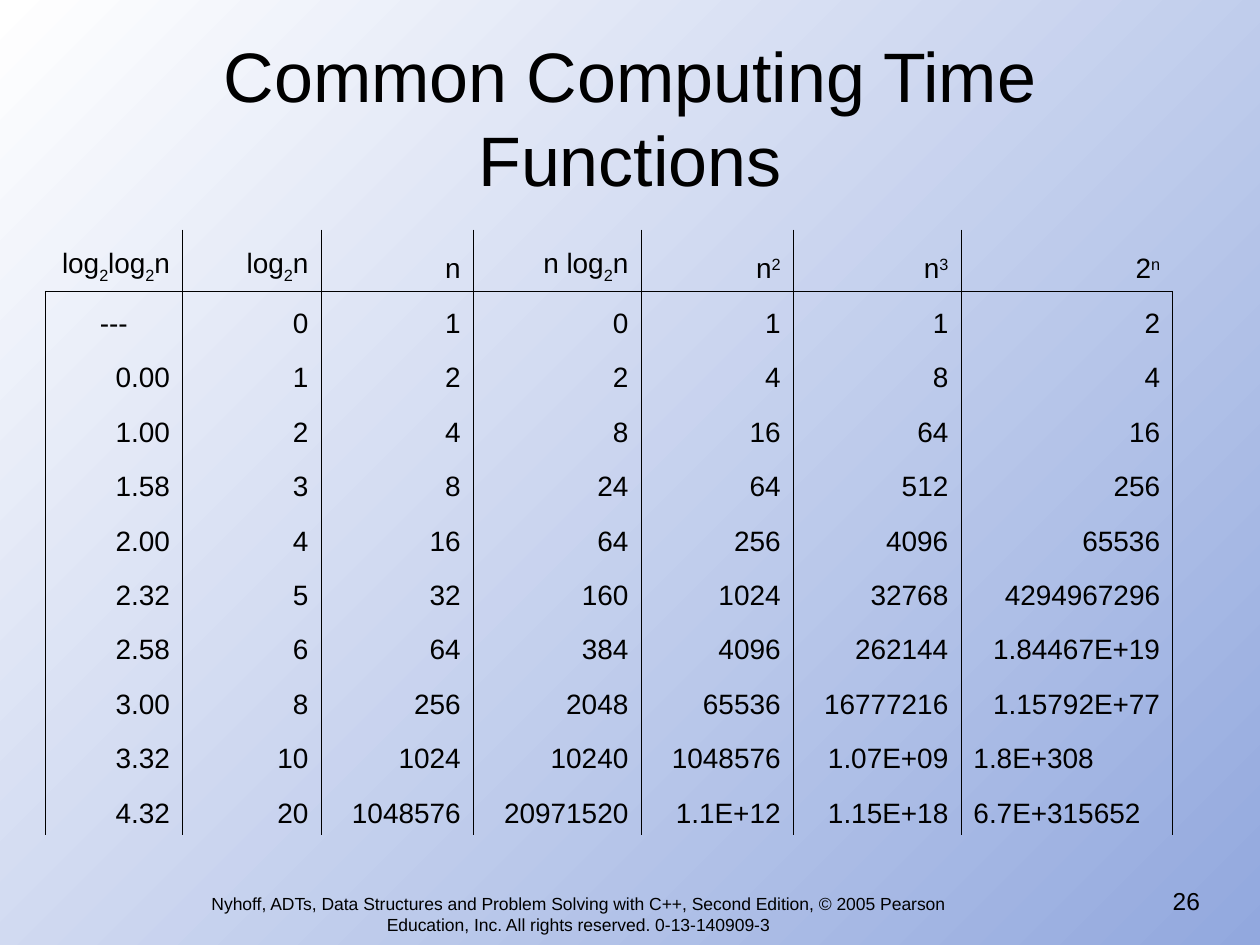
from lxml import etree
from pptx import Presentation
from pptx import util as u
from pptx.dml.color import RGBColor
from pptx.enum import text
from pptx.oxml import ns

# Content: "_" starts a subscript run, "^" a superscript run, "|" parts runs
TITLE = "Common Computing Time Functions"
HEADER = ["log|_2|log|_2|n", "log|_2|n", "n", "n log|_2|n", "n|^2", "n|^3", "2|^n"]
ROWS = [
    ["---", "0", "1", "0", "1", "1", "2"],
    ["0.00", "1", "2", "2", "4", "8", "4"],
    ["1.00", "2", "4", "8", "16", "64", "16"],
    ["1.58", "3", "8", "24", "64", "512", "256"],
    ["2.00", "4", "16", "64", "256", "4096", "65536"],
    ["2.32", "5", "32", "160", "1024", "32768", "4294967296"],
    ["2.58", "6", "64", "384", "4096", "262144", "1.84467E+19"],
    ["3.00", "8", "256", "2048", "65536", "16777216", "1.15792E+77"],
    ["3.32", "10", "1024", "10240", "1048576", "1.07E+09", "1.8E+308"],
    ["4.32", "20", "1048576", "20971520", "1.1E+12", "1.15E+18", "6.7E+315652"],
]
FOOTER = ("Nyhoff, ADTs, Data Structures and Problem Solving with C++, Second Edition, "
          "© 2005 Pearson Education, Inc. All rights reserved. 0-13-140909-3")
PAGE = "26"

# Style
FONT = "Arial"
BLACK = RGBColor(0x00, 0x00, 0x00)
BLUE = RGBColor(0x92, 0xA8, 0xDE)
WHITE = RGBColor(0xFF, 0xFF, 0xFF)
LEFT, CENTER, RIGHT = text.PP_ALIGN.LEFT, text.PP_ALIGN.CENTER, text.PP_ALIGN.RIGHT
BASELINE = {"_": "-30000", "^": "30000"}
NO_STYLE = "{2D5ABB26-0587-4C30-8999-92F81FD0307C}"
RULE = u.Pt(0.45)

# Table measures in cm
COLS = [2.77, 2.79, 3.07, 3.38, 3.07, 3.38, 4.27]
HEAD_H, TABLE_H = 1.24, 12.21
ROW_H = (TABLE_H - HEAD_H) / len(ROWS)


def write(tf, content, size, align):
    p = tf.paragraphs[0]
    p.alignment = align
    for part in content.split("|"):
        r = p.add_run()
        r.text = part.lstrip("_^")
        r.font.name, r.font.size = FONT, u.Pt(size)
        r.font.color.rgb = BLACK
        if part[0] in BASELINE:
            r.font._element.set("baseline", BASELINE[part[0]])


def add_text(slide, content, left, top, width, height, size, align,
             anchor=text.MSO_ANCHOR.TOP):
    tf = slide.shapes.add_textbox(*map(u.Cm, (left, top, width, height))).text_frame
    tf.word_wrap = True
    tf.vertical_anchor = anchor
    write(tf, content, size, align)


def set_borders(cell, sides):
    tc_pr = cell._tc.get_or_add_tcPr()
    for side in "LRTB":
        ln = etree.SubElement(tc_pr, ns.qn(f"a:ln{side}"), w=str(RULE))
        if side in sides:
            fill = etree.SubElement(ln, ns.qn("a:solidFill"))
            etree.SubElement(fill, ns.qn("a:srgbClr"), val=str(BLACK))
        else:
            etree.SubElement(ln, ns.qn("a:noFill"))


def cell_align(row, col, content):
    if content == "---":
        return CENTER
    # The last two powers of two stand at the left
    return LEFT if col == len(COLS) - 1 and row >= len(ROWS) - 1 else RIGHT


def cell_sides(row, col):
    if row:
        return "LRT" if row == 1 else "LR"
    return "B" + ("L" if col else "") + ("R" if col < len(COLS) - 1 else "")


def add_times_table(slide):
    frame = slide.shapes.add_table(len(ROWS) + 1, len(COLS), u.Cm(0.91), u.Cm(4.63),
                                   u.Cm(sum(COLS)), u.Cm(TABLE_H))
    table = frame.table
    table.first_row = table.horz_banding = False
    table._tbl.tblPr.find(ns.qn("a:tableStyleId")).text = NO_STYLE
    for column, width in zip(table.columns, COLS):
        column.width = u.Cm(width)
    for i, row in enumerate([HEADER] + ROWS):
        table.rows[i].height = u.Cm(ROW_H if i else HEAD_H)
        for j, content in enumerate(row):
            cell = table.cell(i, j)
            cell.vertical_anchor = text.MSO_ANCHOR.BOTTOM
            write(cell.text_frame, content, 16, cell_align(i, j, content))
            set_borders(cell, cell_sides(i, j))
            cell.fill.background()


def main():
    prs = Presentation()
    prs.slide_width, prs.slide_height = u.Cm(25.4), u.Cm(19.05)
    s = prs.slides.add_slide(prs.slide_layouts[6])

    # Background: blue at the bottom right to white at the top left
    fill = s.background.fill
    fill.gradient()
    fill.gradient_angle = 135
    for stop, position, color in zip(fill.gradient_stops, (0, 1), (BLUE, WHITE)):
        stop.position = position
        stop.color.rgb = color

    # Title, table, footer and page number
    add_text(s, TITLE, 1.27, 0.76, 22.86, 3.18, 40, CENTER, text.MSO_ANCHOR.MIDDLE)
    add_times_table(s)
    add_text(s, FOOTER, 3.91, 17.88, 15.49, 1.17, 10, CENTER)
    add_text(s, PAGE, 18.52, 17.73, 5.92, 1.32, 14, RIGHT)

    prs.save("out.pptx")


if __name__ == "__main__":
    main()
